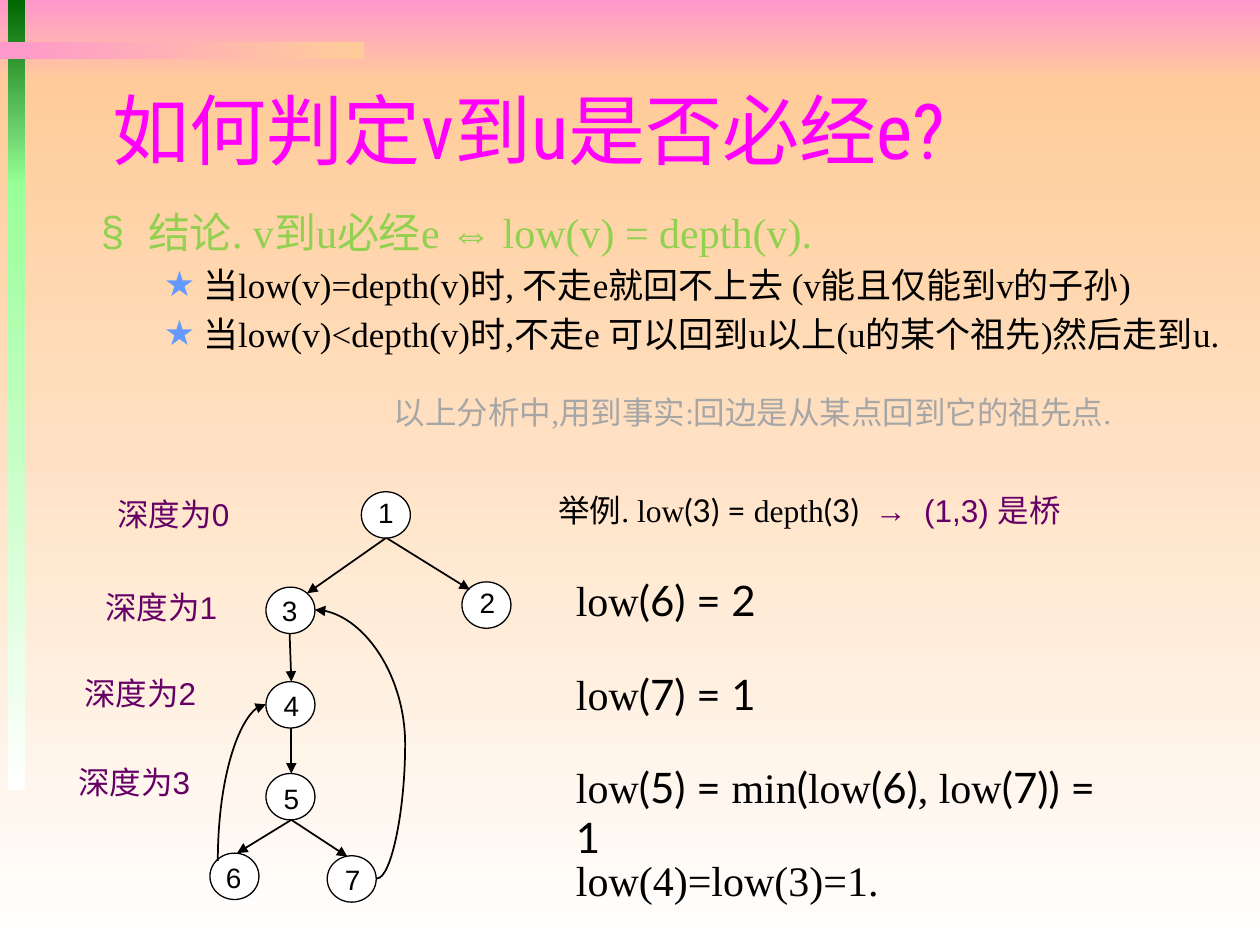
from lxml import etree
from pptx import Presentation
from pptx import util as u
from pptx.dml.color import RGBColor
from pptx.enum import shapes, text
from pptx.oxml.ns import qn

Pt = u.Pt
SERIF, SANS, MATH, HEAD = "Times New Roman", "Arial", "Lato", "Roboto Condensed"
COLORS = {
    "pink": "FF99CC", "peach": "FFCC99", "white": "FFFFFF", "black": "000000",
    "forest": "006600", "mint": "99FF99", "magenta": "FF00FF", "lime": "92D050",
    "star": "6699FF", "purple": "660066", "gray": "A6A6A6",
}


def color(name):
    return RGBColor.from_string(COLORS[name])


def write(paragraph, content, font=SERIF, size=18, ink="black"):
    run = paragraph.add_run()
    run.text = content
    run.font.name = font
    run.font.size = Pt(size)
    run.font.color.rgb = color(ink)


class Board:
    def __init__(self, slide):
        self.slide = slide
        self.node_size = (28, 26.5)

    def band(self, left, top, width, height, start, end, angle=270):
        bar = self.slide.shapes.add_shape(
            shapes.MSO_SHAPE.RECTANGLE, Pt(left), Pt(top), Pt(width), Pt(height))
        bar.shadow.inherit = False
        bar.line.fill.background()
        bar.fill.gradient()
        bar.fill.gradient_angle = angle
        for stop, name in zip(bar.fill.gradient_stops, (start, end)):
            stop.color.rgb = color(name)

    def frame(self, left, top, width, height, anchor=text.MSO_ANCHOR.TOP):
        frame = self.slide.shapes.add_textbox(
            Pt(left), Pt(top), Pt(width), Pt(height)).text_frame
        frame.word_wrap = True
        frame.vertical_anchor = anchor
        return frame

    def label(self, left, top, width, height, *pieces, **style):
        paragraph = self.frame(left, top, width, height).paragraphs[0]
        for piece in pieces:
            content, own = piece if isinstance(piece, tuple) else (piece, {})
            write(paragraph, content, **{**style, **own})

    def bullet(self, paragraph, content, mark, mark_ink, indent, hanging, size, ink):
        write(paragraph, content, size=size, ink=ink)
        paragraph.space_before = Pt(size * 0.2)
        props = paragraph._p.get_or_add_pPr()
        props.set("marL", str(Pt(indent)))
        props.set("indent", str(-Pt(hanging)))
        tint = etree.SubElement(props, qn("a:buClr"))
        etree.SubElement(tint, qn("a:srgbClr"), val=COLORS[mark_ink])
        etree.SubElement(props, qn("a:buFont"), typeface=SANS)
        etree.SubElement(props, qn("a:buChar"), char=mark)

    def node(self, number, left, top, number_left, number_top):
        circle = self.slide.shapes.add_shape(
            shapes.MSO_SHAPE.OVAL, Pt(left), Pt(top), *map(Pt, self.node_size))
        circle.shadow.inherit = False
        circle.fill.solid()
        circle.fill.fore_color.rgb = color("white")
        circle.line.color.rgb = color("black")
        circle.line.width = Pt(0.75)
        self.label(number_left, number_top, 17.5, 26.5, number, font=SANS, size=16)

    def arrow(self, start, end, kind=shapes.MSO_CONNECTOR.STRAIGHT):
        edge = self.slide.shapes.add_connector(kind, *map(Pt, start + end))
        edge.line.color.rgb = color("black")
        edge.line.width = Pt(1)
        etree.SubElement(edge.line._get_or_add_ln(), qn("a:tailEnd"), type="triangle")
        etree.SubElement(edge._element.spPr, qn("a:effectLst"))
        return edge

    def curve(self, start, end, preset, bend=None, turn=0):
        props = self.arrow(start, end, shapes.MSO_CONNECTOR.CURVE)._element.spPr
        props.find(qn("a:xfrm")).set("rot", str(turn * 60000))
        geometry = props.find(qn("a:prstGeom"))
        geometry.set("prst", preset)
        if bend is not None:
            guides = geometry.find(qn("a:avLst"))
            etree.SubElement(guides, qn("a:gd"), name="adj1", fmla=f"val {bend}")


def main():
    deck = Presentation()
    deck.slide_width, deck.slide_height = Pt(720), Pt(540)
    board = Board(deck.slides.add_slide(deck.slide_layouts[6]))

    board.band(0, 0, 720, 48, "pink", "peach")
    board.band(0, 48, 720, 492, "peach", "white")
    board.band(4.3, 0, 10, 106.5, "forest", "mint")
    board.band(4.3, 105, 10, 346.5, "mint", "white")
    board.band(0, 24, 208, 10, "pink", "peach", angle=0)

    title = board.frame(57.5, 41, 612, 65, text.MSO_ANCHOR.MIDDLE)
    write(title.paragraphs[0], "如何判定v到u是否必经e?", font=HEAD, size=44, ink="magenta")

    claims = board.frame(50.5, 114.5, 669.5, 94.5)
    board.bullet(claims.paragraphs[0], "结论. v到u必经e ⇔ low(v) = depth(v).",
                 "§", "lime", 27, 27, 24, "lime")
    for case in ("当low(v)=depth(v)时, 不走e就回不上去 (v能且仅能到v的子孙)",
                 "当low(v)<depth(v)时,不走e 可以回到u以上(u的某个祖先)然后走到u."):
        board.bullet(claims.add_paragraph(), case, "★", "star", 58.5, 22.5, 20, "black")

    board.label(218, 221, 453.5, 29, "以上分析中,用到事实:回边是从某点回到它的祖先点.", ink="gray")

    nodes = (
        ("1", 206.5, 281, 209, 279.5),
        ("2", 264, 332.5, 267, 331),
        ("3", 152, 335.5, 154, 335.5),
        ("4", 152, 389.5, 155, 390),
        ("6", 120, 487.5, 122, 488),
        ("5", 152, 442, 155, 443),
        ("7", 187, 489, 190, 489.5),
    )
    for node in nodes:
        board.node(*node)

    edges = (
        ((221, 307.5), (268.5, 337)),
        ((220.5, 307.5), (175.5, 339)),
        ((165.5, 362), (166.5, 389.5)),
        ((166.5, 416), (166.5, 442)),
        ((166.5, 468.5), (135.5, 487.5)),
        ((166.5, 468.5), (198.5, 489.5)),
    )
    for start, end in edges:
        board.arrow(start, end)
    board.curve((215.5, 502), (180, 348.5), "curvedConnector3", bend=-45300)
    board.curve((183, 461), (93.5, 433.5), "curvedConnector2", turn=90)

    for depth, (left, top) in enumerate(((60, 279.5), (53, 332.5), (41, 381.5), (37.5, 432.5))):
        board.label(left, top, 79, 29, f"深度为{depth}", font=SANS, ink="purple")

    math = {"font": MATH}
    board.label(312, 277, 360, 29, "举例. low", ("(3) = ", math), "depth", ("(3)  ", math),
                ("→  (1,3) 是桥", {"font": SANS, "ink": "purple"}))
    results = (
        (325, 136, ("low", ("(6) = 2", math))),
        (378.5, 325.5, ("low", ("(7) = 1", math))),
        (431.5, 325.5, ("low", ("(5) = ", math), "min", ("(", math), "low",
                        ("(6)", math), ", ", "low", ("(7)) = 1", math))),
        (484.5, 325.5, ("low(4)=low(3)=1.",)),
    )
    for top, width, pieces in results:
        board.label(322, top, width, 36, *pieces, size=24)

    deck.save("out.pptx")


if __name__ == "__main__":
    main()
